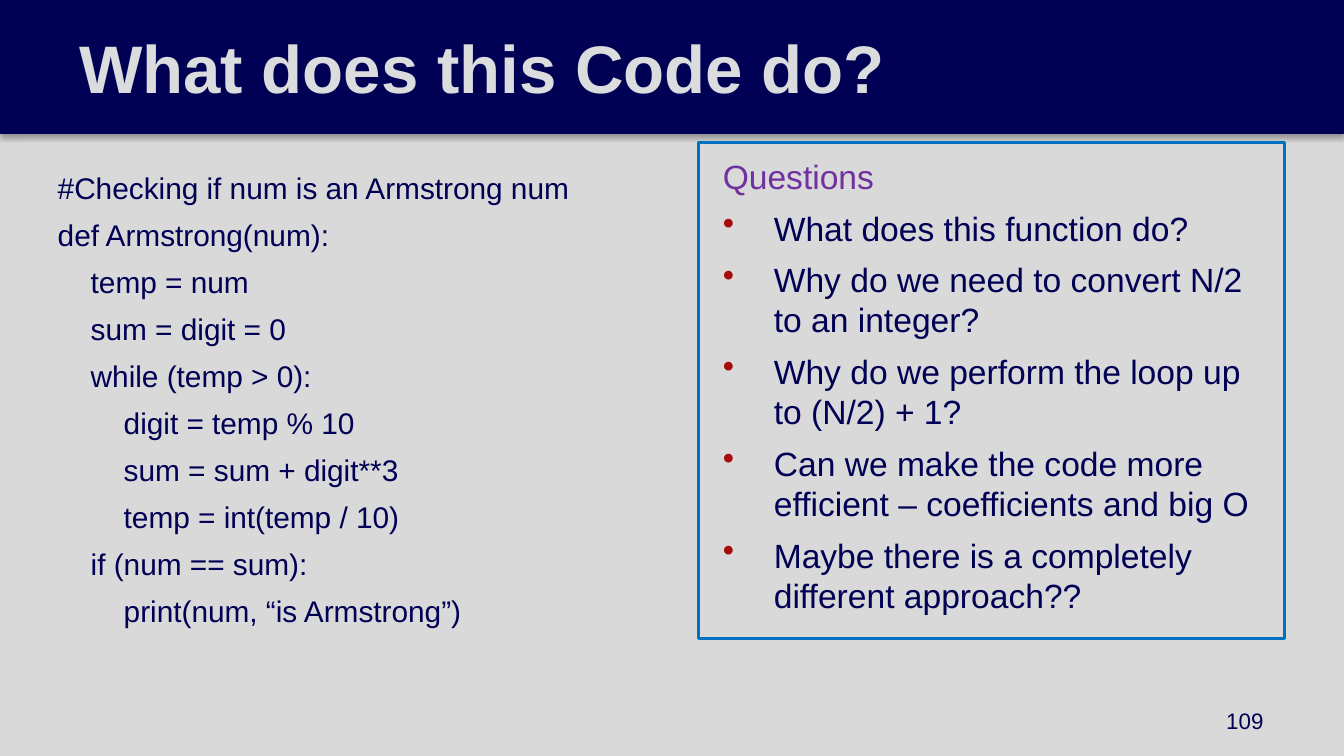
import pptx
import pptx.util
import pptx.dml.color
import pptx.enum.shapes
import pptx.enum.text
import pptx.oxml
import pptx.oxml.ns
from dataclasses import dataclass

Inches = pptx.util.Inches
Pt = pptx.util.Pt
Align = pptx.enum.text.PP_ALIGN
Anchor = pptx.enum.text.MSO_ANCHOR


@dataclass(frozen=True)
class Theme:
    face: str = "Arial"
    navy: str = "000054"
    edge: str = "000052"
    grey: str = "D9D9D9"
    pale: str = "DBDCDD"
    blue: str = "0070C0"
    purple: str = "7030A0"
    red: str = "A60C0C"
    title: int = 36
    code: int = 16
    body: int = 18
    page: int = 12
    gap: int = 6


THEME = Theme()

CODE = """#Checking if num is an Armstrong num
def Armstrong(num):
    temp = num
    sum = digit = 0
    while (temp > 0):
        digit = temp % 10
        sum = sum + digit**3
        temp = int(temp / 10)
    if (num == sum):
        print(num, “is Armstrong”)"""

ASKS = [
    "What does this function do?",
    "Why do we need to convert N/2 to an integer?",
    "Why do we perform the loop up to (N/2) + 1?",
    "Can we make the code more efficient – coefficients and big O",
    "Maybe there is a completely different approach??",
]


def rgb(code):
    return pptx.dml.color.RGBColor.from_string(code)


def add_panel(slide, box, fill, line=None, width=1.5):
    shape = slide.shapes.add_shape(
        pptx.enum.shapes.MSO_SHAPE.RECTANGLE, *map(Inches, box))
    shape.shadow.inherit = False
    shape.fill.solid()
    shape.fill.fore_color.rgb = rgb(fill)
    if line:
        shape.line.color.rgb = rgb(line)
        shape.line.width = Pt(width)
    else:
        shape.line.fill.background()
    return shape


def cast_shadow(shape):
    """Put a soft shadow under the shape."""
    effects = shape._element.spPr.find(pptx.oxml.ns.qn("a:effectLst"))
    effects.append(pptx.oxml.parse_xml(
        f'<a:outerShdw {pptx.oxml.ns.nsdecls("a")} blurRad="{Pt(3.1)}" '
        f'dist="{Pt(1.8)}" dir="5400000" rotWithShape="0">'
        '<a:srgbClr val="000000"><a:alpha val="35000"/></a:srgbClr>'
        '</a:outerShdw>'))


def set_frame(shape, side, top, anchor=Anchor.TOP):
    frame = shape.text_frame
    frame.word_wrap = True
    frame.vertical_anchor = anchor
    frame.margin_left = frame.margin_right = Inches(side)
    frame.margin_top = Inches(top)
    frame.margin_bottom = Inches(0.1)
    return frame


def add_line(frame, text, size, color, left=0, hang=0, bold=False,
             align=Align.LEFT):
    """Write the next paragraph; a hanging one gets a bullet."""
    first = not frame.text
    para = frame.paragraphs[0] if first else frame.add_paragraph()
    para.text = text
    para.alignment = align
    para.space_before = Pt(0 if first else THEME.gap)
    props = para._p.get_or_add_pPr()
    props.set("marL", str(Inches(left)))
    props.set("indent", str(Inches(-hang)))
    if hang:
        space = pptx.oxml.ns.nsdecls("a")
        props.append(pptx.oxml.parse_xml(
            f'<a:buClr {space}><a:srgbClr val="{THEME.red}"/></a:buClr>'))
        props.append(pptx.oxml.parse_xml(f'<a:buChar {space} char="•"/>'))
    font = para.font
    font.name = THEME.face
    font.size = Pt(size)
    font.bold = bold
    font.color.rgb = rgb(color)


def add_code(slide):
    panel = add_panel(slide, (0.15, 1.06, 5.04, 4.28), THEME.grey)
    frame = set_frame(panel, 0.2, 0.2)
    for text in CODE.splitlines():
        add_line(frame, text, THEME.code, THEME.navy, left=0.08)


def add_title(slide):
    panel = add_panel(slide, (0, 0, 9.03, 0.99), THEME.navy)
    frame = set_frame(panel, 0.4, 0.1, Anchor.MIDDLE)
    add_line(frame, "What does this Code do?", THEME.title, THEME.pale,
             left=0.19, bold=True)


def add_asks(slide):
    panel = add_panel(slide, (5.2, 1.06, 4.36, 3.69), THEME.grey, THEME.blue)
    frame = set_frame(panel, 0.1, 0.1)
    add_line(frame, "Questions", THEME.body, THEME.purple, left=0.08)
    for text in ASKS:
        add_line(frame, text, THEME.body, THEME.navy, left=0.46, hang=0.38)


def add_page(slide):
    box = slide.shapes.add_textbox(*map(Inches, (7.17, 5.21, 2.33, 0.3)))
    frame = set_frame(box, 0.1, 0.1, Anchor.MIDDLE)
    add_line(frame, "109", THEME.page, THEME.navy, align=Align.RIGHT)


def main():
    deck = pptx.Presentation()
    deck.slide_width = Inches(10)
    deck.slide_height = Inches(10 * 9 / 16)
    slide = deck.slides.add_slide(deck.slide_layouts[6])
    slide.background.fill.solid()
    slide.background.fill.fore_color.rgb = rgb(THEME.grey)
    band = add_panel(slide, (0, 0, 10, 0.99), THEME.navy, THEME.edge, 0.75)
    cast_shadow(band)
    add_code(slide)
    add_title(slide)
    add_asks(slide)
    add_page(slide)
    deck.save("out.pptx")


if __name__ == "__main__":
    main()
